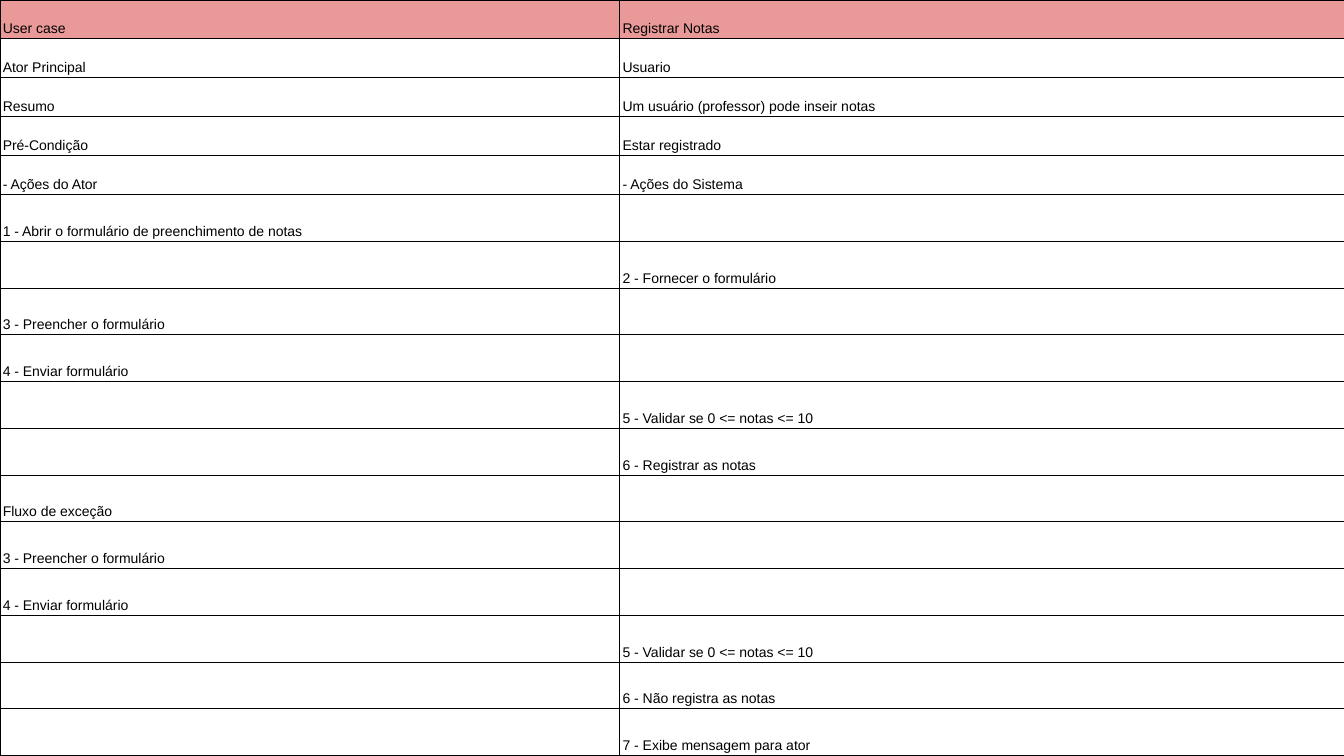
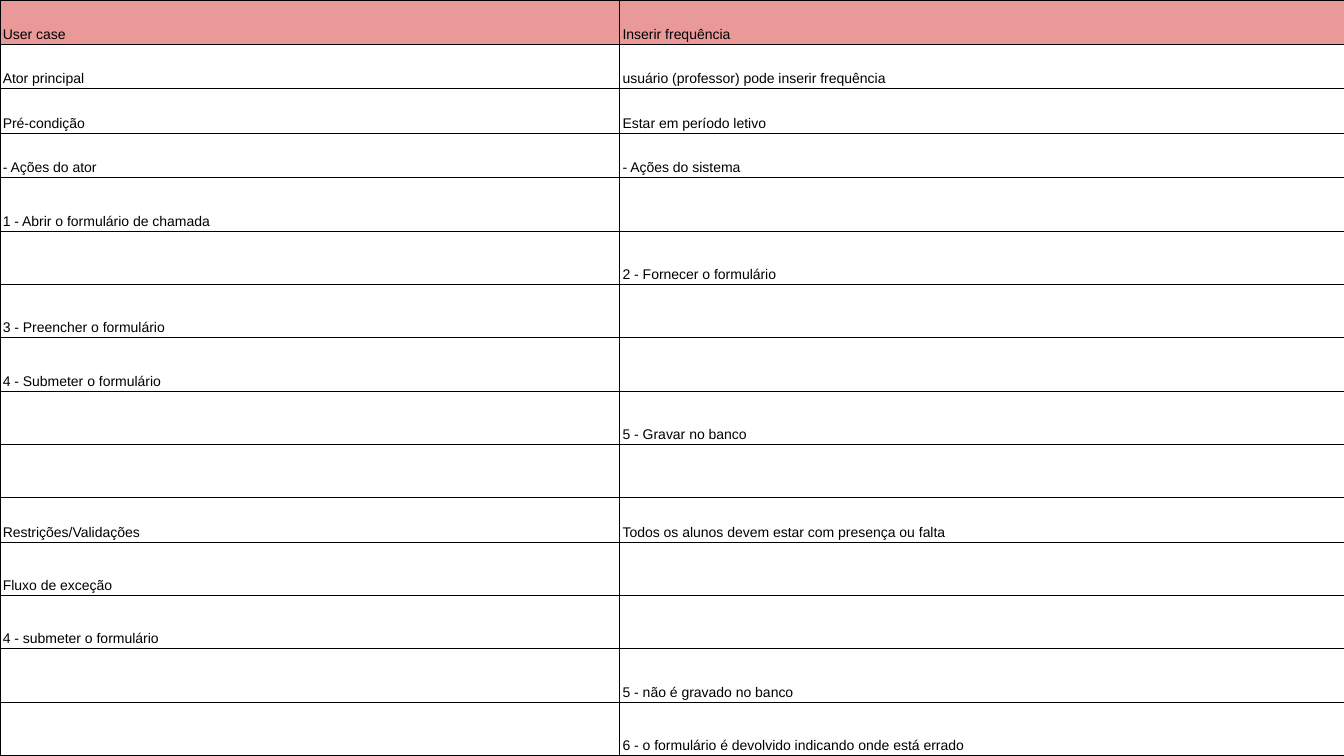
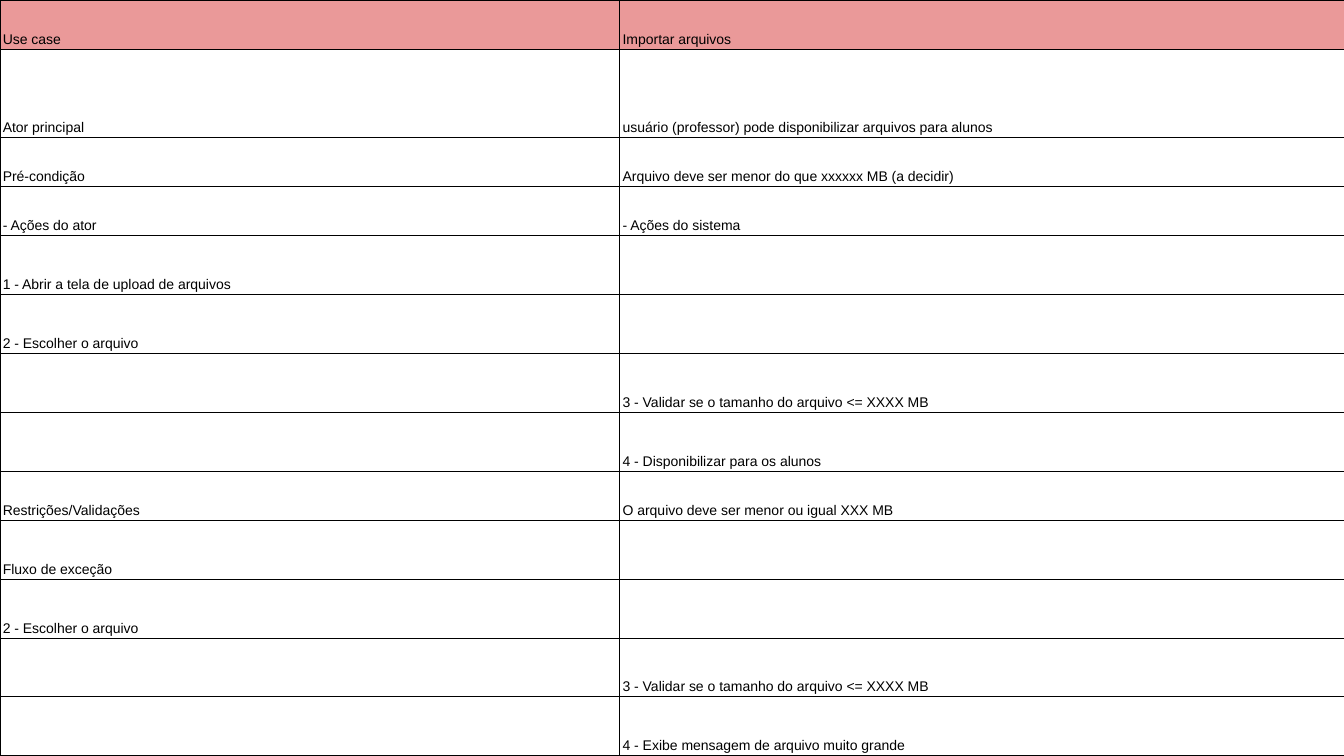
from lxml.etree import SubElement
from pptx import Presentation
from pptx.dml.color import RGBColor
from pptx.enum.text import MSO_ANCHOR as Anchor
from pptx.oxml.ns import qn
from pptx.util import Cm, Pt

SLIDE_W, SLIDE_H = Cm(33.87), Cm(19.05)
ACTOR_COLUMN = Cm(15.62)
FONT, TEXT_SIZE, LINE_SPACING = "Arial", Pt(10), 1.15
INK, PAPER, HEADER = "000000", "FFFFFF", "EA9999"
BORDER_WIDTH = Pt(0.75)
PAD_X, PAD_Y = Cm(0.07), Cm(0.05)
FULL_ROW, STEP_ROW, ACTOR_ROW = 1, 1.2, 1.8

# Each row: actor side, system side and, where it departs from the rule, a height weight.
GRADES = [
    ("User case", "Registrar Notas"),
    ("Ator Principal", "Usuario"),
    ("Resumo", "Um usuário (professor) pode inseir notas"),
    ("Pré-Condição", "Estar registrado"),
    ("- Ações do Ator", "- Ações do Sistema"),
    ("1 - Abrir o formulário de preenchimento de notas", ""),
    ("", "2 - Fornecer o formulário"),
    ("3 - Preencher o formulário", ""),
    ("4 - Enviar formulário", ""),
    ("", "5 - Validar se 0 <= notas <= 10"),
    ("", "6 - Registrar as notas"),
    ("Fluxo de exceção", ""),
    ("3 - Preencher o formulário", ""),
    ("4 - Enviar formulário", ""),
    ("", "5 - Validar se 0 <= notas <= 10"),
    ("", "6 - Não registra as notas"),
    ("", "7 - Exibe mensagem para ator"),
]
ATTENDANCE = [
    ("User case", "Inserir frequência"),
    ("Ator principal", "usuário (professor) pode inserir frequência"),
    ("Pré-condição", "Estar em período letivo"),
    ("- Ações do ator", "- Ações do sistema"),
    ("1 - Abrir o formulário de chamada", ""),
    ("", "2 - Fornecer o formulário"),
    ("3 - Preencher o formulário", ""),
    ("4 - Submeter o formulário", ""),
    ("", "5 - Gravar no banco"),
    ("", ""),
    ("Restrições/Validações", "Todos os alunos devem estar com presença ou falta"),
    ("Fluxo de exceção", ""),
    ("4 - submeter o formulário", ""),
    ("", "5 - não é gravado no banco"),
    ("", "6 - o formulário é devolvido indicando onde está errado"),
]
FILES = [
    ("Use case", "Importar arquivos"),
    ("Ator principal", "usuário (professor) pode disponibilizar arquivos para alunos", ACTOR_ROW),
    ("Pré-condição", "Arquivo deve ser menor do que xxxxxx MB (a decidir)"),
    ("- Ações do ator", "- Ações do sistema"),
    ("1 - Abrir a tela de upload de arquivos", ""),
    ("2 - Escolher o arquivo", ""),
    ("", "3 - Validar se o tamanho do arquivo <= XXXX MB"),
    ("", "4 - Disponibilizar para os alunos"),
    ("Restrições/Validações", "O arquivo deve ser menor ou igual XXX MB"),
    ("Fluxo de exceção", ""),
    ("2 - Escolher o arquivo", ""),
    ("", "3 - Validar se o tamanho do arquivo <= XXXX MB"),
    ("", "4 - Exibe mensagem de arquivo muito grande"),
]


def color(value):
    return RGBColor.from_string(value)


def row_weight(actor, system, weight=None):
    """Rows with both sides filled are lower than rows holding a single step."""
    return weight or (FULL_ROW if actor and system else STEP_ROW)


def add_borders(cell):
    """Draw all four sides; call before filling, as the schema puts lines first."""
    properties = cell._tc.get_or_add_tcPr()
    for side in ("a:lnL", "a:lnR", "a:lnT", "a:lnB"):
        line = SubElement(properties, qn(side), w=str(BORDER_WIDTH))
        SubElement(SubElement(line, qn("a:solidFill")), qn("a:srgbClr"), val=INK)


def format_cell(cell, text, fill):
    add_borders(cell)
    cell.fill.solid()
    cell.fill.fore_color.rgb = color(fill)
    cell.vertical_anchor = Anchor.BOTTOM
    cell.margin_left = cell.margin_right = PAD_X
    cell.margin_top = cell.margin_bottom = PAD_Y
    cell.text_frame.text = text
    paragraph = cell.text_frame.paragraphs[0]
    paragraph.line_spacing = LINE_SPACING
    for run in paragraph.runs:
        run.font.name = FONT
        run.font.size = TEXT_SIZE
        run.font.color.rgb = color(INK)


def add_use_case(slide, rows, left, top, width, height):
    table = slide.shapes.add_table(len(rows), 2, left, top, width, height).table
    table.first_row = table.horz_banding = False
    table.columns[0].width = ACTOR_COLUMN
    table.columns[1].width = width - ACTOR_COLUMN
    weights = [row_weight(*row) for row in rows]
    for index, (row, weight) in enumerate(zip(rows, weights)):
        table.rows[index].height = int(height * weight / sum(weights))
        for column, text in enumerate(row[:2]):
            format_cell(table.cell(index, column), text, PAPER if index else HEADER)


def main():
    deck = Presentation()
    deck.slide_width, deck.slide_height = SLIDE_W, SLIDE_H
    blank_layout = deck.slide_layouts[6]
    for use_case in (GRADES, ATTENDANCE, FILES):
        slide = deck.slides.add_slide(blank_layout)
        add_use_case(slide, use_case, 0, 0, SLIDE_W, SLIDE_H)
    deck.save("out.pptx")


if __name__ == "__main__":
    main()
